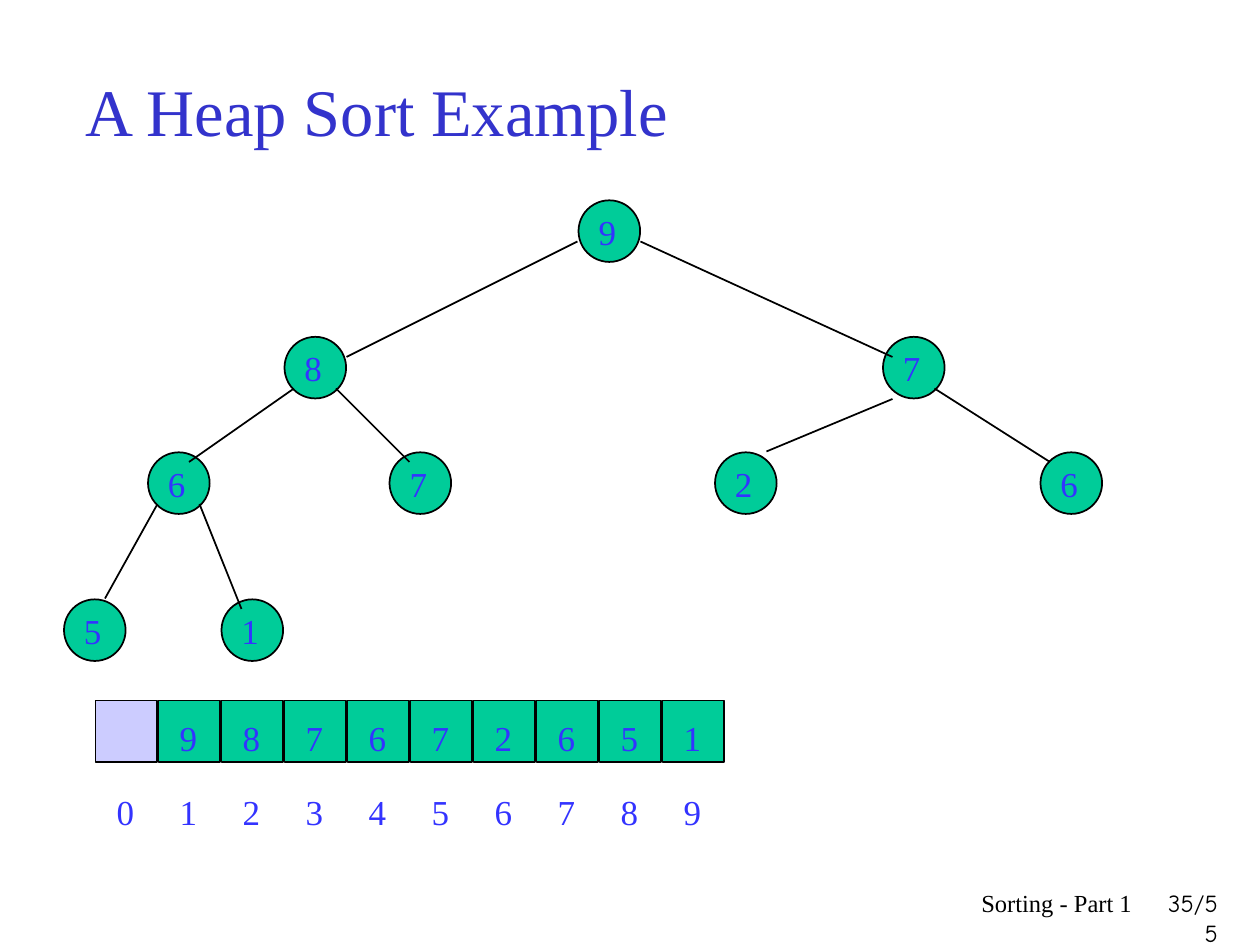
from lxml.etree import SubElement
from pptx import Presentation
from pptx.dml.color import RGBColor
from pptx.enum.shapes import MSO_CONNECTOR as Connector, MSO_SHAPE as Shape
from pptx.enum.text import MSO_ANCHOR as Anchor, PP_ALIGN as Align
from pptx.oxml.ns import qn
from pptx.util import Pt

SERIF = "Times New Roman"
BLACK, GREEN, LILAC = "000000", "00CC99", "CCCCFF"
TITLE_BLUE, DIGIT_BLUE = "3333CC", "3333FF"
SIDE = 35.2  # width of a tree node and of an array cell

# Value, left and top of each node, within the tree
NODES = [
    (9, 294, 0),
    (8, 126, 78), (7, 468, 78),
    (6, 48, 144), (7, 186, 144), (2, 372, 144), (6, 558, 144),
    (5, 0, 228), (1, 90, 228),
]
# Start and end of each branch, within the tree
BRANCHES = [
    (294, 24, 162, 90), (330, 24, 474, 90),
    (132, 108, 72, 150), (156, 108, 198, 150),
    (474, 114, 402, 144), (498, 108, 564, 150),
    (54, 174, 24, 228), (78, 174, 102, 234),
]


def color(hex_code):
    return RGBColor.from_string(hex_code)


def add_text(shapes, box, text, size, ink, font=SERIF, align=Align.LEFT,
             anchor=Anchor.TOP, wrap=True):
    frame = shapes.add_textbox(*map(Pt, box)).text_frame
    frame.word_wrap = wrap
    frame.vertical_anchor = anchor
    paragraph = frame.paragraphs[0]
    paragraph.text = str(text)
    paragraph.alignment = align
    paragraph.font.size = Pt(size)
    paragraph.font.name = font
    paragraph.font.color.rgb = color(ink)


def add_digit(shapes, left, top, digit):
    add_text(shapes, (left, top, 24.4, 31), digit, 20, DIGIT_BLUE, wrap=False)


def add_outlined(shapes, preset, left, top, fill):
    outlined = shapes.add_shape(preset, Pt(left), Pt(top), Pt(SIDE), Pt(SIDE))
    outlined.shadow.inherit = False
    outlined.fill.solid()
    outlined.fill.fore_color.rgb = color(fill)
    outlined.line.color.rgb = color(BLACK)
    outlined.line.width = Pt(1)


def add_branch(shapes, x1, y1, x2, y2):
    branch = shapes.add_connector(Connector.STRAIGHT, Pt(x1), Pt(y1), Pt(x2), Pt(y2))
    branch.line.color.rgb = color(BLACK)
    branch.line.width = Pt(1)
    SubElement(branch._element.spPr, qn("a:effectLst"))


def draw_tree(slide, left, top):
    tree = slide.shapes.add_group_shape().shapes
    # Nodes sit slightly inside the grid that the branches follow
    node_left, node_top = left + 0.6, top + 0.5
    for _, x, y in NODES:
        add_outlined(tree, Shape.OVAL, node_left + x, node_top + y, GREEN)
    for x1, y1, x2, y2 in BRANCHES:
        add_branch(tree, left + x1, top + y1, left + x2, top + y2)
    for value, x, y in NODES:
        add_digit(tree, node_left + x + 4.3, node_top + y + 2, value)


def draw_array(slide, left, top, pitch=36):
    # The heap is stored level by level from cell 1; cell 0 is unused
    values = [None] + [value for value, _, _ in NODES]
    for index, value in enumerate(values):
        cell_left = left + index * pitch
        fill = LILAC if value is None else GREEN
        add_outlined(slide.shapes, Shape.RECTANGLE, cell_left, top, fill)
        if value is not None:
            add_digit(slide.shapes, cell_left + 5, top + 5.8, value)
        add_digit(slide.shapes, cell_left + 5, top + 47.8, index)


def draw_title(slide, box):
    add_text(slide.shapes, box, "A Heap Sort Example", 38, TITLE_BLUE,
             anchor=Anchor.MIDDLE)


def draw_footer(slide, left, top, height=36):
    add_text(slide.shapes, (left, top, 228, height), "Sorting - Part 1", 14, BLACK,
             align=Align.RIGHT)
    add_text(slide.shapes, (left + 228, top, 49, height), "35/55", 14, BLACK,
             font="Comic Neue", align=Align.RIGHT)


def main():
    deck = Presentation()
    deck.slide_width, deck.slide_height = Pt(720), Pt(540)
    slide = deck.slides.add_slide(deck.slide_layouts[6])
    draw_title(slide, (42, 18, 612, 90))
    draw_tree(slide, 36, 114)
    draw_array(slide, 54.6, 400.3)
    draw_footer(slide, 426, 504)
    deck.save("out.pptx")


if __name__ == "__main__":
    main()
